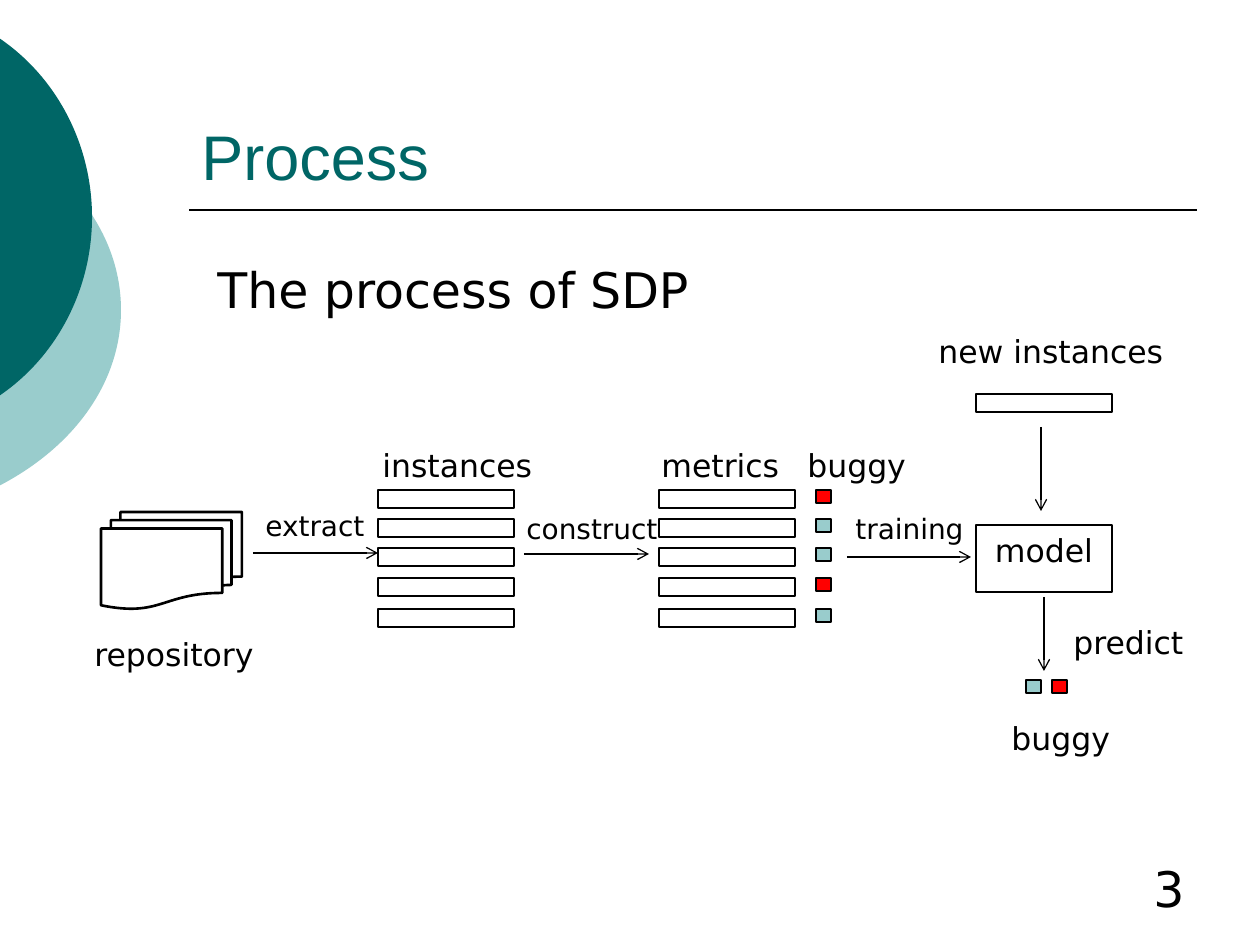
from dataclasses import dataclass
from typing import NamedTuple, Optional

from lxml.etree import SubElement
from pptx import Presentation
from pptx.dml.color import RGBColor
from pptx.enum.shapes import MSO_CONNECTOR as Connector, MSO_SHAPE as Preset
from pptx.enum.text import MSO_ANCHOR as Anchor, PP_ALIGN as Align
from pptx.oxml.ns import qn
from pptx.util import Pt

EMU_PER_PX = 914400 / 126


@dataclass(frozen=True)
class Theme:
    ink: str = "000000"
    teal: str = "006666"
    pale: str = "99CCCC"
    red: str = "FF0000"
    heading_font: str = "Arial"
    body_font: str = "DejaVu Sans"
    title_size: int = 36
    lead_size: int = 28
    label_size: int = 18
    step_size: int = 16
    rule_width: float = 1
    outline_width: float = 1.5
    arrow_width: float = 0.75


THEME = Theme()


class Box(NamedTuple):
    left: int
    top: int
    width: int
    height: int


class Label(NamedTuple):
    text: str
    box: Box
    size: int = THEME.label_size


class Arrow(NamedTuple):
    x1: int
    y1: int
    x2: int
    y2: int


class Lobe(NamedTuple):
    """Right part of a circle, cut off at the slide's left edge.

    The curve runs from the edge at `top` to its tip at (`bulge`, `middle`)
    and is mirrored below; the controls shape the upper half.
    """
    color: str
    frame: Box
    top: int
    middle: int
    bulge: int
    control_x: int
    control_y: int
    control_rise: int


BAR_WIDTH, BAR_HEIGHT = 136, 18
FLAG_WIDTH, FLAG_HEIGHT = 15, 13
ROW_TOPS = (490, 519, 548, 578, 609)
INSTANCES_X, METRICS_X, FLAGS_X, MODEL_X = 378, 659, 816, 976
BUGGY_ROWS = (0, 3)
EDGE = -1

LOBES = (
    Lobe(THEME.pale, Box(-446, 94, 567, 431), 134, 310, 121, 76, 174, 239),
    Lobe(THEME.teal, Box(-334, 0, 426, 435), 38, 217, 92, 58, 78, 146),
)
ARROWS = (
    Arrow(253, 553, 378, 553),
    Arrow(524, 554, 649, 554),
    Arrow(847, 557, 971, 557),
    Arrow(1041, 427, 1041, 511),
    Arrow(1044, 597, 1044, 671),
)
LABELS = (
    Label("The process of SDP", Box(205, 253, 677, 72), THEME.lead_size),
    Label("instances", Box(370, 440, 198, 50)),
    Label("metrics", Box(649, 440, 198, 50)),
    Label("buggy", Box(795, 440, 198, 50)),
    Label("new instances", Box(926, 326, 301, 50)),
    Label("predict", Box(1061, 617, 136, 50)),
    Label("buggy", Box(999, 713, 198, 50)),
    Label("repository", Box(82, 629, 198, 50)),
    Label("extract", Box(253, 502, 198, 47), THEME.step_size),
    Label("training", Box(843, 505, 198, 47), THEME.step_size),
    Label("construct", Box(514, 505, 198, 47), THEME.step_size),
)


def px(length: int) -> int:
    return round(length * EMU_PER_PX)


def write(frame, text: str, *, size: int = THEME.label_size,
          font: str = THEME.body_font, color: str = THEME.ink,
          align=Align.LEFT, anchor=Anchor.TOP) -> None:
    frame.word_wrap = True
    frame.vertical_anchor = anchor
    paragraph = frame.paragraphs[0]
    paragraph.alignment = align
    run = paragraph.add_run()
    run.text = text
    run.font.size = Pt(size)
    run.font.name = font
    run.font.color.rgb = RGBColor.from_string(color)


def add_text(slide, text: str, box: Box, **text_format) -> None:
    textbox = slide.shapes.add_textbox(*map(px, box))
    write(textbox.text_frame, text, **text_format)


def paint(shape, fill: Optional[str]) -> None:
    shape.shadow.inherit = False
    if fill:
        shape.fill.solid()
        shape.fill.fore_color.rgb = RGBColor.from_string(fill)
    else:
        shape.fill.background()


def add_outlined(slide, box: Box, fill: Optional[str] = None,
                 preset=Preset.RECTANGLE):
    shape = slide.shapes.add_shape(preset, *map(px, box))
    paint(shape, fill)
    shape.line.color.rgb = RGBColor.from_string(THEME.ink)
    shape.line.width = Pt(THEME.outline_width)
    return shape


def add_bar(slide, left: int, top: int) -> None:
    add_outlined(slide, Box(left, top, BAR_WIDTH, BAR_HEIGHT))


def add_flag(slide, left: int, top: int, buggy: bool) -> None:
    add_outlined(slide, Box(left, top, FLAG_WIDTH, FLAG_HEIGHT),
                 THEME.red if buggy else THEME.pale)


def add_line(slide, ends: Arrow, width: float, arrowhead: bool = False) -> None:
    line = slide.shapes.add_connector(Connector.STRAIGHT, *map(px, ends))
    line.line.color.rgb = RGBColor.from_string(THEME.ink)
    line.line.width = Pt(width)
    if arrowhead:
        SubElement(line.line._get_or_add_ln(), qn("a:tailEnd"), type="arrow")
    SubElement(line._element.spPr, qn("a:effectLst"))


def add_lobe(slide, lobe: Lobe) -> None:
    left, top, width, height = lobe.frame
    builder = slide.shapes.build_freeform(left, top, scale=EMU_PER_PX)
    builder.add_line_segments([(left + width, top), (left + width, top + height),
                               (left, top + height)])
    shape = builder.convert_to_shape()
    paint(shape, lobe.color)
    shape.line.fill.background()

    upper = [(EDGE, lobe.top), (lobe.control_x, lobe.control_y),
             (lobe.bulge, lobe.control_rise), (lobe.bulge, lobe.middle)]
    lower = [(x, 2 * lobe.middle - y) for x, y in reversed(upper[:-1])]
    outline = next(shape._element.iter(qn("a:path")))
    for segment in list(outline):
        outline.remove(segment)
    outline.set("w", str(width))
    outline.set("h", str(height))
    for tag, points in (("a:moveTo", upper[:1]), ("a:cubicBezTo", upper[1:]),
                        ("a:cubicBezTo", lower), ("a:close", [])):
        segment = SubElement(outline, qn(tag))
        for x, y in points:
            SubElement(segment, qn("a:pt"), x=str(x - left), y=str(y - top))


def main() -> None:
    deck = Presentation()
    deck.slide_width, deck.slide_height = px(1260), px(945)
    slide = deck.slides.add_slide(deck.slide_layouts[6])

    for lobe in LOBES:
        add_lobe(slide, lobe)
    add_line(slide, Arrow(189, 210, 1197, 210), THEME.rule_width)
    add_text(slide, "Process", Box(189, 42, 1008, 157), size=THEME.title_size,
             font=THEME.heading_font, color=THEME.teal, anchor=Anchor.BOTTOM)
    add_text(slide, "3", Box(903, 861, 294, 63), size=THEME.lead_size,
             align=Align.RIGHT, anchor=Anchor.BOTTOM)

    add_outlined(slide, Box(101, 512, 141, 97), preset=Preset.FLOWCHART_MULTIDOCUMENT)
    for row, top in enumerate(ROW_TOPS):
        add_bar(slide, INSTANCES_X, top)
        add_bar(slide, METRICS_X, top)
        add_flag(slide, FLAGS_X, top, row in BUGGY_ROWS)

    add_bar(slide, MODEL_X, 394)
    model = add_outlined(slide, Box(MODEL_X, 525, BAR_WIDTH, 67))
    write(model.text_frame, "model", align=Align.CENTER)
    add_flag(slide, 1026, 680, buggy=False)
    add_flag(slide, 1052, 680, buggy=True)

    for arrow in ARROWS:
        add_line(slide, arrow, THEME.arrow_width, arrowhead=True)
    for label in LABELS:
        add_text(slide, label.text, label.box, size=label.size)

    deck.save("out.pptx")


if __name__ == "__main__":
    main()
